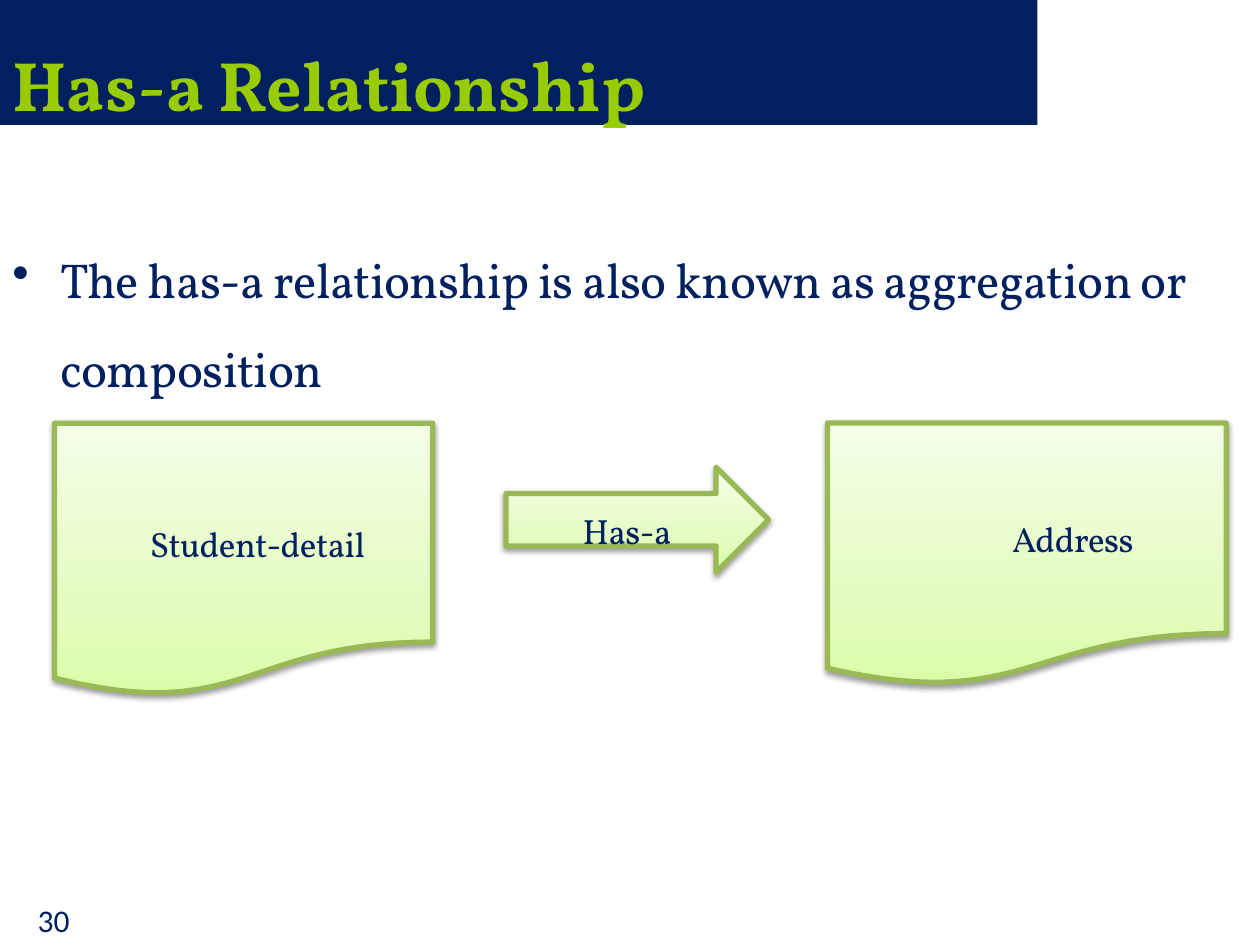
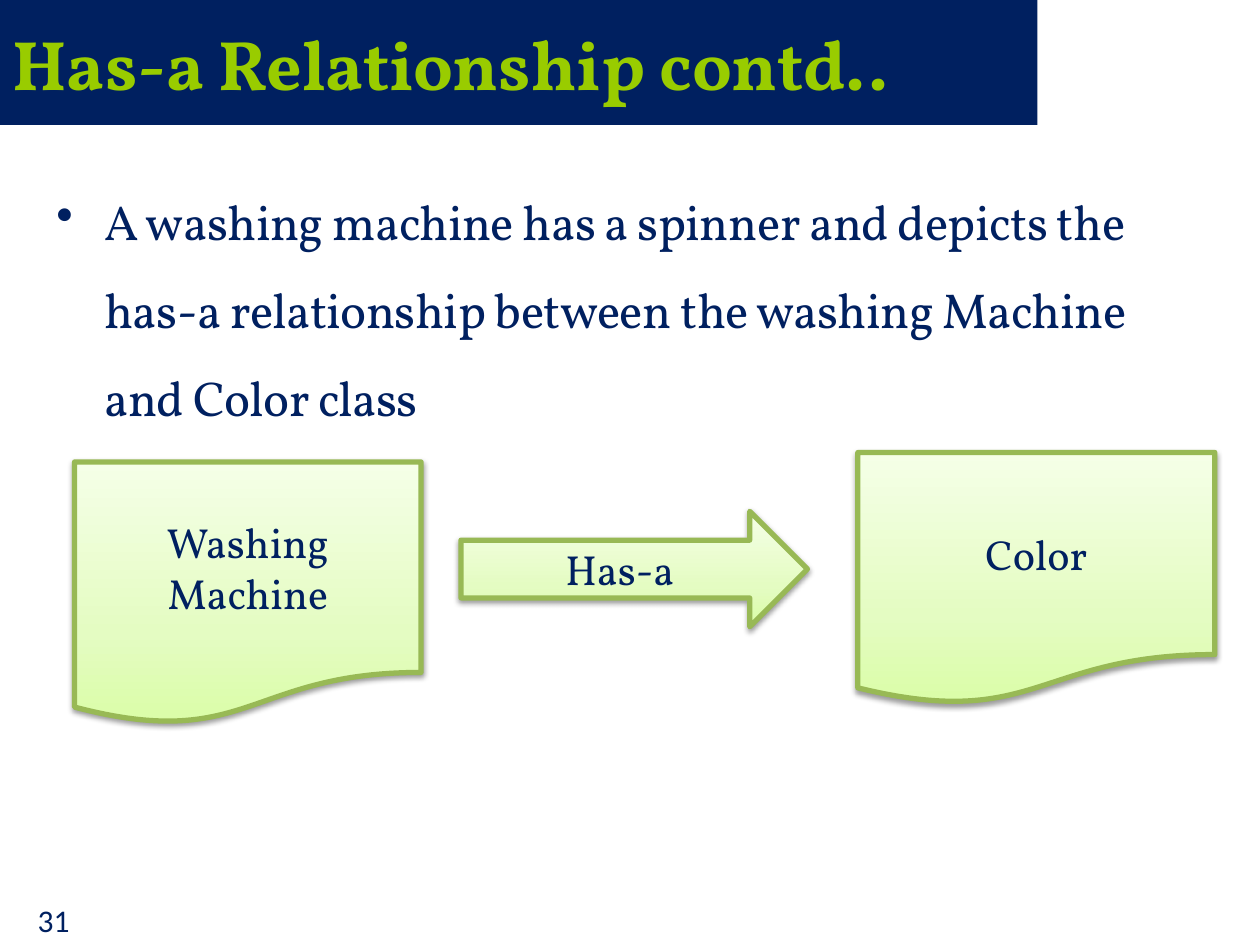
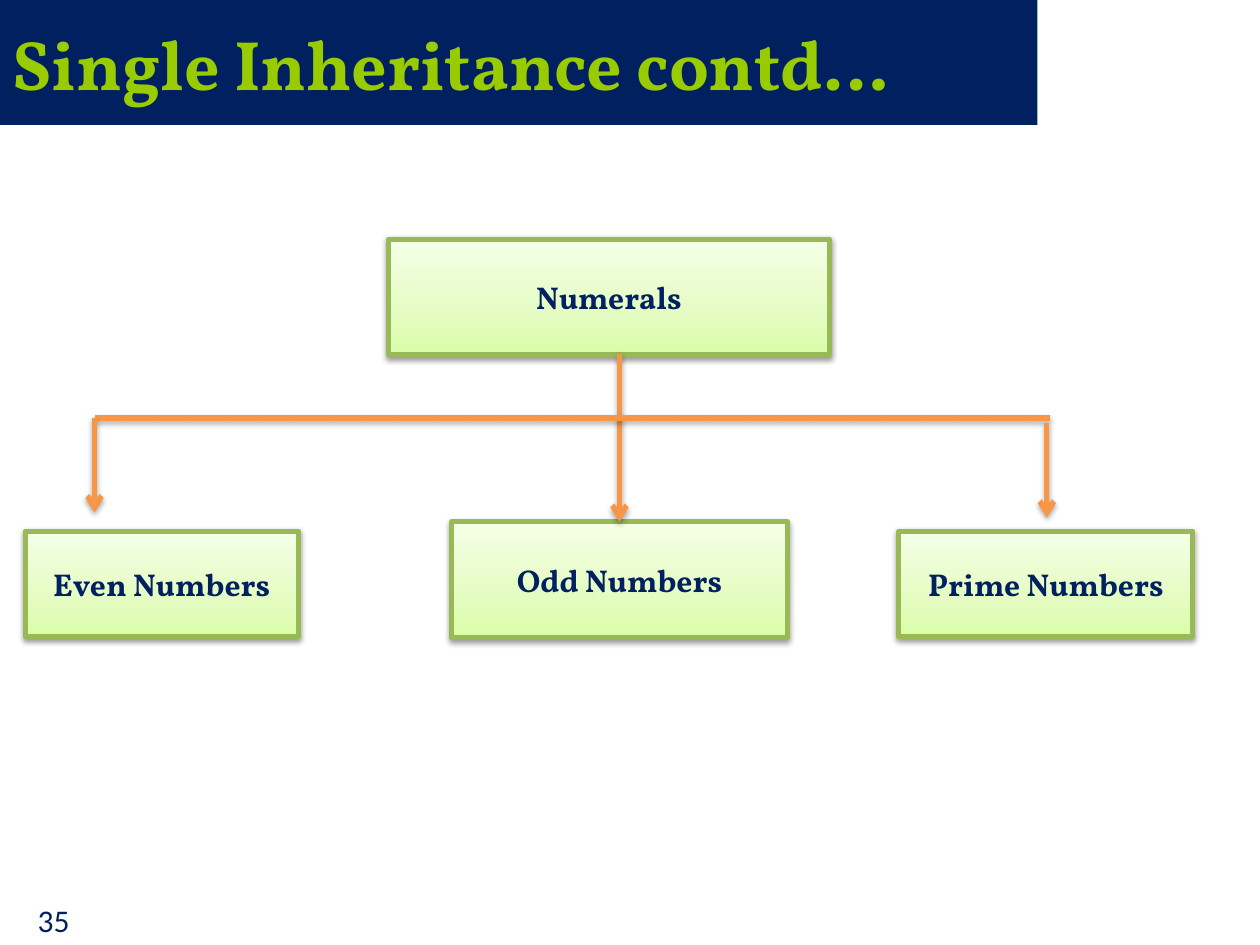
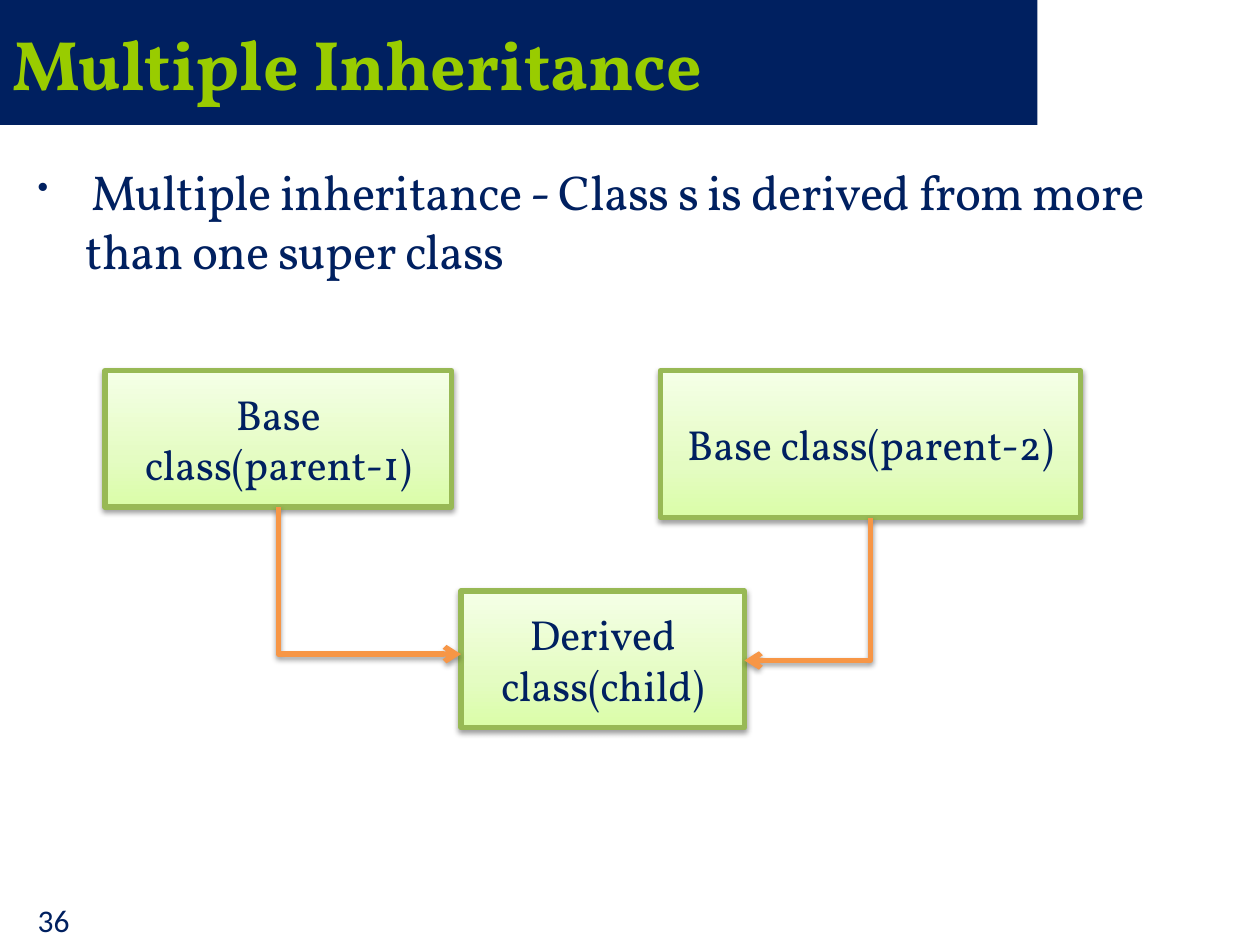
import copy

import lxml.etree
import pptx
import pptx.dml.color
import pptx.enum.dml
import pptx.enum.shapes
import pptx.enum.text
import pptx.oxml.ns
import pptx.util

SHAPE = pptx.enum.shapes.MSO_SHAPE
CONNECTOR = pptx.enum.shapes.MSO_CONNECTOR
ALIGN = pptx.enum.text.PP_ALIGN
ANCHOR = pptx.enum.text.MSO_ANCHOR
qn = pptx.oxml.ns.qn

COLORS = {name: pptx.dml.color.RGBColor.from_string(value) for name, value in {
    "navy": "002060", "lime": "99CC00", "edge": "98B955", "arrow": "F79646",
    "deep": "DAFDA7", "mid": "E4FCC2", "pale": "F5FFE7"}.items()}
NODE_GRADIENT = [(0, "deep"), (0.35, "mid"), (1, "pale")]

TITLE = {"size": 40, "bold": True, "color": "lime", "anchor": ANCHOR.MIDDLE}
BODY = {"size": 28, "hanging": 0.38, "tracking": -30, "before": 0.2, "spacing": 1.5}
NODE = {"size": 24, "align": ALIGN.CENTER, "anchor": ANCHOR.MIDDLE}
LOOSE_NODE = NODE | {"size": 20, "tracking": -30, "before": 0.2, "spacing": 1.5}
BOLD_NODE = NODE | {"size": 18, "bold": True}
NUMBER = {"size": 18, "font": "Calibri"}

# Every position and length counts cells of a 120 by 90 grid.
deck = pptx.Presentation()
deck.slide_width, deck.slide_height = pptx.util.Inches(10), pptx.util.Inches(7.5)
CELL = deck.slide_width / 120


def write(shape, runs, style):
    """Fill a shape with one paragraph of (text, size) runs in the given style."""
    frame = shape.text_frame
    frame.word_wrap = True
    frame.vertical_anchor = style.get("anchor", ANCHOR.TOP)
    paragraph = frame.paragraphs[0]
    layout = {"alignment": style.get("align", ALIGN.LEFT),
              "line_spacing": style.get("spacing"),
              "space_before": pptx.util.Pt(style.get("before", 0) * style["size"])}
    for attribute, value in layout.items():
        setattr(paragraph, attribute, value)
    properties = paragraph._p.get_or_add_pPr()
    if "shift" in style:
        properties.set("marL", str(pptx.util.Inches(style["shift"])))
    if "hanging" in style:
        hanging = pptx.util.Inches(style["hanging"])
        properties.set("marL", str(hanging))
        properties.set("indent", str(-hanging))
        lxml.etree.SubElement(properties, qn("a:buChar")).set("char", "•")
    for text, size in runs:
        run = paragraph.add_run()
        run.text = text
        letters = {"name": style.get("font", "Vollkorn"), "size": pptx.util.Pt(size),
                   "bold": style.get("bold", False)}
        for attribute, value in letters.items():
            setattr(run.font, attribute, value)
        run.font.color.rgb = COLORS[style.get("color", "navy")]
        if "tracking" in style:
            run._r.get_or_add_rPr().set("spc", str(style["tracking"]))


def outline(part, color, opacity):
    """Give a node or connector its thick line and soft shadow."""
    part.line.color.rgb = COLORS[color]
    part.line.width = pptx.util.Pt(3)
    effects = lxml.etree.SubElement(part._element.spPr, qn("a:effectLst"))
    shadow = lxml.etree.SubElement(effects, qn("a:outerShdw"), blurRad="40000",
                                   dist="20000", dir="5400000", rotWithShape="0")
    black = lxml.etree.SubElement(shadow, qn("a:srgbClr"), val="000000")
    lxml.etree.SubElement(black, qn("a:alpha"), val=str(opacity * 1000))


# Nodes: preset, cell box, label, style
# Links: start, end, has arrowhead, index of the node joined at its top
# Bends: start, end, quarter turns, flip
lessons = [
    {"number": "30", "title": "Has-a Relationship", "title_spacing": 1.5,
     "body": (0, 20.4, 117.6, 59.4),
     "runs": [("The has-a relationship is also known as aggregation or composition", 28)],
     "nodes": [
         (SHAPE.FLOWCHART_DOCUMENT, (5.2, 40.3, 36, 26), "Student-detail",
          LOOSE_NODE | {"shift": 0.22}),
         (SHAPE.FLOWCHART_DOCUMENT, (78.8, 40.3, 38, 25), "Address",
          LOOSE_NODE | {"shift": 0.73}),
         (SHAPE.RIGHT_ARROW, (48.2, 44.5, 25, 10), "Has-a",
          LOOSE_NODE | {"shift": 0.51, "align": ALIGN.LEFT})]},
    {"number": "31", "title": "Has-a Relationship contd..",
     "body": (4.2, 14.8, 108, 59.4),
     "runs": [("A washing machine has a spinner and depicts the has-a relationship "
               "between the washing Machine and Color class", 28)],
     "nodes": [
         (SHAPE.FLOWCHART_DOCUMENT, (7.1, 44, 33, 25), "Washing Machine", NODE),
         (SHAPE.FLOWCHART_DOCUMENT, (81.7, 43.1, 34, 24), "Color", NODE),
         (SHAPE.RIGHT_ARROW, (43.9, 48.7, 33, 11), "Has-a", NODE)]},
    {"number": "35", "title": "Single Inheritance contd…",
     "nodes": [
         (SHAPE.RECTANGLE, (37, 22.8, 42, 11), "Numerals", BOLD_NODE),
         (SHAPE.RECTANGLE, (2.4, 50.6, 26, 10), "Even Numbers", BOLD_NODE),
         (SHAPE.RECTANGLE, (43, 49.7, 32, 11), "Odd Numbers", BOLD_NODE),
         (SHAPE.RECTANGLE, (85.6, 50.6, 28, 10), "Prime Numbers", BOLD_NODE)],
     "links": [
         ((59, 33.7), (59, 49.7), True, 2),
         ((9, 39.8), (100, 39.8), False, None),
         ((9, 39.8), (9, 48.8), True, None),
         ((99.7, 40.3), (99.7, 49.3), True, None)]},
    {"number": "36", "title": "Multiple Inheritance",
     "body": (2.4, 14.8, 108, 66.1), "body_spacing": 1,
     "runs": [(" ", 18), ("Multiple inheritance - Class s is derived from more "
                          "than one super class", 28)],
     "nodes": [
         (SHAPE.RECTANGLE, (10, 35.3, 33, 13), "Base class(parent-1)", NODE),
         (SHAPE.RECTANGLE, (62.9, 35.3, 40, 14), "Base class(parent-2)", NODE),
         (SHAPE.RECTANGLE, (43.9, 56.3, 27, 13), "Derived class(child)", NODE)],
     "bends": [
         ((26.5, 48.3), (43.9, 62.3), 3, True),
         ((82.9, 49.3), (70.9, 62.9), 1, False)]},
]

for lesson in lessons:
    slide = deck.slides.add_slide(deck.slide_layouts[6])
    shapes = slide.shapes

    band = shapes.add_shape(SHAPE.RECTANGLE, 0, 0, int(98.8 * CELL), int(11.9 * CELL))
    band.shadow.inherit = False
    band.fill.solid()
    band.fill.fore_color.rgb = COLORS["navy"]
    band.line.fill.background()
    write(band, [(lesson["title"], TITLE["size"])],
          TITLE | {"spacing": lesson.get("title_spacing")})

    if "body" in lesson:
        body = shapes.add_textbox(*(int(cells * CELL) for cells in lesson["body"]))
        write(body, lesson["runs"],
              BODY | {"spacing": lesson.get("body_spacing", BODY["spacing"])})

    nodes = []
    for preset, box, label, style in lesson["nodes"]:
        node = shapes.add_shape(preset, *(int(cells * CELL) for cells in box))
        node.fill.gradient()
        node.fill.gradient_angle = 90
        stops = node._element.spPr.find(".//" + qn("a:gsLst"))
        stops.append(copy.deepcopy(stops[-1]))
        for stop, (position, color) in zip(node.fill.gradient_stops, NODE_GRADIENT):
            stop.position = position
            stop.color.rgb = COLORS[color]
        outline(node, "edge", 38)
        write(node, [(label, style["size"])], style)
        nodes.append(node)

    for start, end, has_head, target in lesson.get("links", []):
        link = shapes.add_connector(CONNECTOR.STRAIGHT,
                                    *(int(cells * CELL) for cells in start + end))
        if target is not None:
            link.end_connect(nodes[target], 0)
        outline(link, "arrow", 35)
        if has_head:
            lxml.etree.SubElement(link.line._get_or_add_ln(), qn("a:tailEnd"), type="arrow")

    for (x1, y1), (x2, y2), turns, flipped in lesson.get("bends", []):
        # A quarter turn swaps the sides of the frame about its centre.
        across, down = abs(x2 - x1), y2 - y1
        left, top = (x1 + x2 - down) / 2, (y1 + y2 - across) / 2
        bend = shapes.add_connector(CONNECTOR.ELBOW, *(
            int(cells * CELL) for cells in (left, top, left + down, top + across)))
        properties = bend._element.spPr
        properties.find(qn("a:prstGeom")).set("prst", "bentConnector2")
        properties.find(qn("a:xfrm")).set("rot", str(turns * 5400000))
        if flipped:
            properties.find(qn("a:xfrm")).set("flipH", "1")
        outline(bend, "arrow", 38)
        lxml.etree.SubElement(bend.line._get_or_add_ln(), qn("a:tailEnd"), type="arrow")

    number = shapes.add_textbox(*(int(cells * CELL) for cells in (2.4, 85.2, 7.6, 4.8)))
    write(number, [(lesson["number"], NUMBER["size"])], NUMBER)

deck.save("out.pptx")
